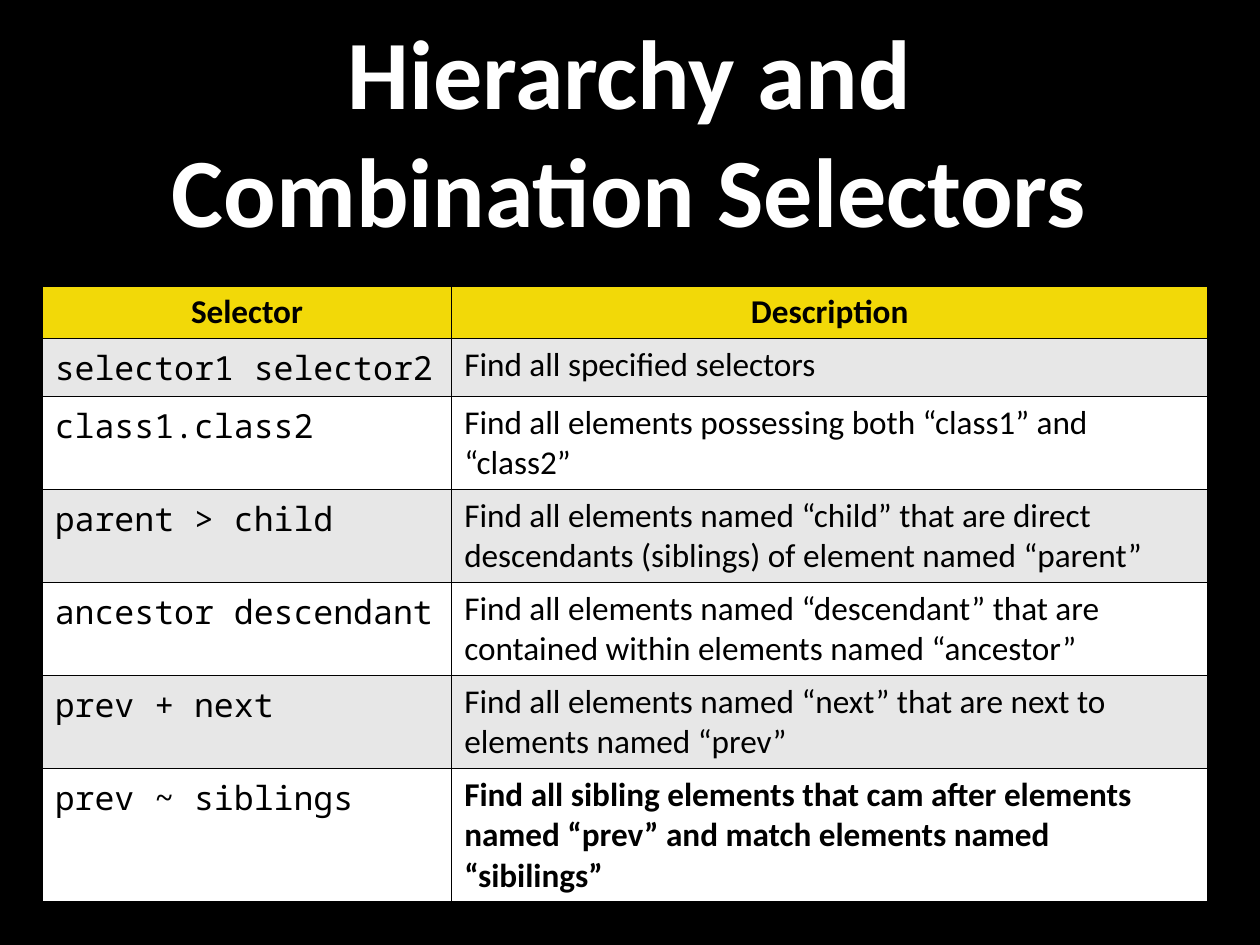
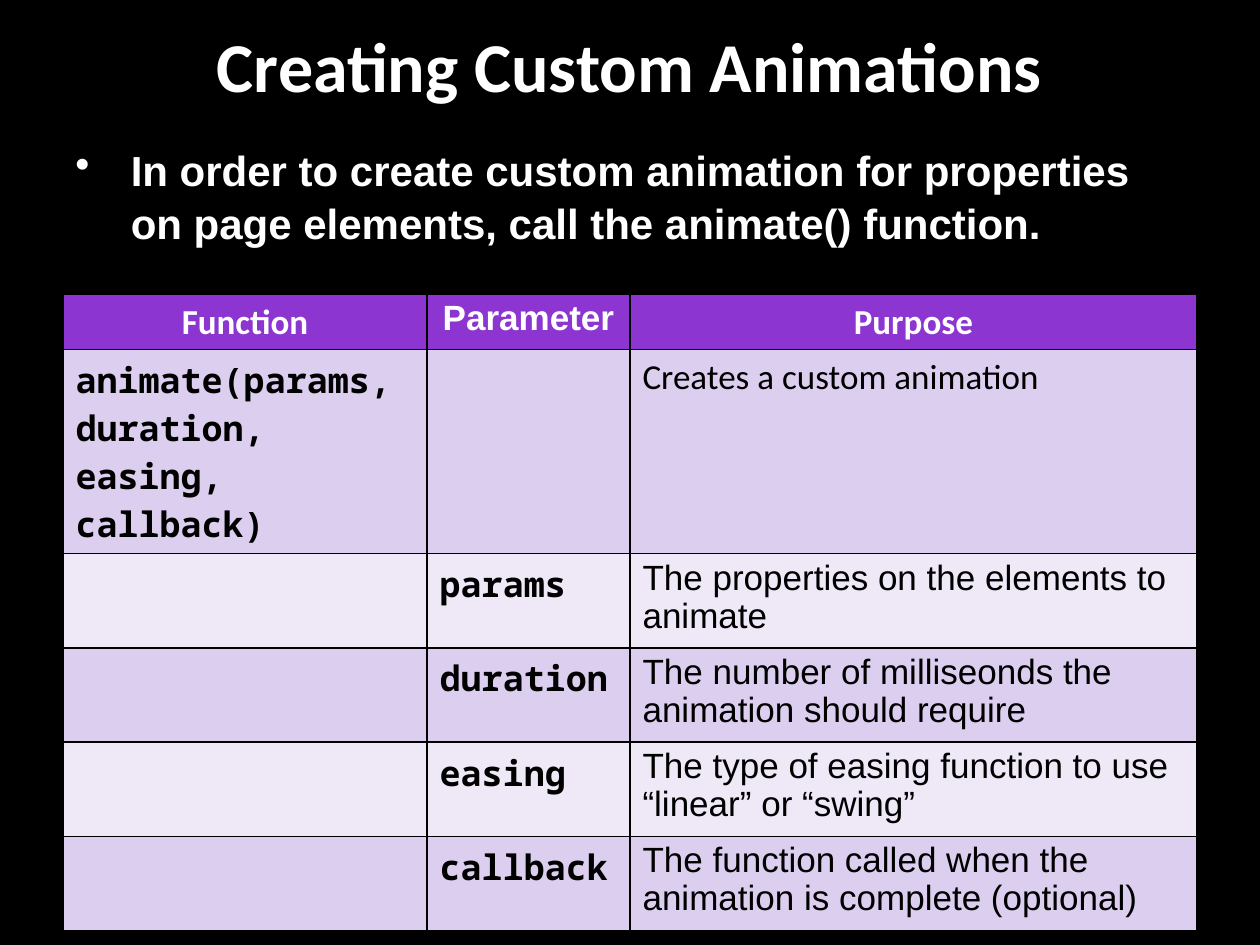
import pptx
import pptx.util
import pptx.dml.color
import pptx.enum.text
import pptx.oxml
import pptx.oxml.ns
from lxml import etree

RGBColor = pptx.dml.color.RGBColor
ALIGN = pptx.enum.text.PP_ALIGN
ANCHOR = pptx.enum.text.MSO_ANCHOR

BLACK = RGBColor(0x00, 0x00, 0x00)
WHITE = RGBColor(0xFF, 0xFF, 0xFF)
YELLOW = RGBColor(0xF2, 0xD9, 0x08)
GREY = RGBColor(0xE7, 0xE7, 0xE7)
PURPLE = RGBColor(0x8D, 0x35, 0xD1)
LILAC = RGBColor(0xDB, 0xCE, 0xEE)
PALE_LILAC = RGBColor(0xEE, 0xE8, 0xF7)

HEADING, BODY, MONO = "Calibri", "Arial", "Noto Sans Mono"
WIDTH, HEIGHT = pptx.util.Inches(10), pptx.util.Inches(7.5)

SELECTORS = [
    ("Selector", "Description"),
    ("selector1 selector2", "Find all specified selectors"),
    ("class1.class2", "Find all elements possessing both “class1” and “class2”"),
    ("parent > child", "Find all elements named “child” that are direct descendants "
                       "(siblings) of element named “parent”"),
    ("ancestor descendant", "Find all elements named “descendant” that are contained "
                            "within elements named “ancestor”"),
    ("prev + next", "Find all elements named “next” that are next to elements named “prev”"),
    ("prev ~ siblings", "Find all sibling elements that cam after elements named “prev” "
                        "and match elements named “sibilings”"),
]

ANIMATION = [
    ("Function", "Parameter", "Purpose"),
    ("animate(params, duration, easing, callback)", "", "Creates a custom animation"),
    ("", "params", "The properties on the elements to animate"),
    ("", "duration", "The number of milliseonds the animation should require"),
    ("", "easing", "The type of easing function to use “linear” or “swing”"),
    ("", "callback", "The function called when the animation is complete (optional)"),
]


def across(percent):
    """Length as a percentage of the slide width."""
    return round(WIDTH * percent / 100)


def down(percent):
    """Length as a percentage of the slide height."""
    return round(HEIGHT * percent / 100)


def style(para, font, size, color, bold=False):
    for span in para.runs:
        span.font.name = font
        span.font.size = pptx.util.Pt(size)
        span.font.color.rgb = color
        span.font.bold = bold


def add_page(deck):
    page = deck.slides.add_slide(deck.slide_layouts[6])
    page.background.fill.solid()
    page.background.fill.fore_color.rgb = BLACK
    return page


def add_text(page, text, left, top, width, height, font, size):
    box = page.shapes.add_textbox(across(left), down(top), across(width), down(height))
    box.text_frame.word_wrap = True
    box.text_frame.text = text
    para = box.text_frame.paragraphs[0]
    style(para, font, size, WHITE, bold=True)
    return box.text_frame, para


def add_title(page, text, top, height, size):
    frame, para = add_text(page, text, 8.5, top, 82.9, height, HEADING, size)
    frame.vertical_anchor = ANCHOR.MIDDLE
    para.alignment = ALIGN.CENTER


def add_bullet(page, text, left, top, width, height):
    para = add_text(page, text, left, top, width, height, BODY, 24)[1]
    para.line_spacing = 1.05
    indent = across(4.4)
    properties = para._p.get_or_add_pPr()
    properties.set("marL", str(indent))
    properties.set("indent", str(-indent))
    bullet = etree.SubElement(properties, pptx.oxml.ns.qn("a:buChar"))
    bullet.set("char", "•")


def outline_cell(cell):
    properties = cell._tc.get_or_add_tcPr()
    for place, side in enumerate("LRTB"):
        line = pptx.oxml.parse_xml(
            f'<a:ln{side} {pptx.oxml.ns.nsdecls("a")} w="{pptx.util.Pt(1)}">'
            f'<a:solidFill><a:srgbClr val="{BLACK}"/></a:solidFill></a:ln{side}>')
        properties.insert(place, line)


def format_cell(cell, font, size, color, bold):
    para = cell.text_frame.paragraphs[0]
    style(para, font, size, color, bold)
    if font == BODY:
        para.line_spacing = 0.97


def add_grid(page, rows, left, top, widths, heights, size, fills,
             header_color, header_fonts, column_fonts, bold_columns=()):
    """Table whose first fill is the header and whose other fills alternate."""
    frame = page.shapes.add_table(len(rows), len(widths), across(left), down(top),
                                  across(sum(widths)), down(sum(heights)))
    table = frame.table
    table.horz_banding = False
    table.first_row = False
    for column, width in zip(table.columns, widths):
        column.width = across(width)
    for r, (texts, height) in enumerate(zip(rows, heights)):
        table.rows[r].height = down(height)
        for c, text in enumerate(texts):
            cell = table.cell(r, c)
            cell.text = text
            cell.fill.solid()
            cell.fill.fore_color.rgb = fills[1 + (r - 1) % 2] if r else fills[0]
            outline_cell(cell)
            if r == 0:
                format_cell(cell, header_fonts[c], size, header_color, True)
                cell.text_frame.paragraphs[0].alignment = ALIGN.CENTER
            else:
                format_cell(cell, column_fonts[c], size, BLACK, c in bold_columns)
    return table


def build_selectors(deck):
    page = add_page(deck)
    add_title(page, "Hierarchy and Combination Selectors", 1.6, 24.13, 56)
    table = add_grid(page, SELECTORS, 3.35, 30.25, [32.5, 60],
                     [5.5, 6.13] + [9.85] * 4 + [14.1], 19, [YELLOW, GREY, WHITE],
                     BLACK, [HEADING, HEADING], [MONO, HEADING])
    # The last description is emphasised
    format_cell(table.cell(6, 1), HEADING, 19, BLACK, True)


def build_animation(deck):
    page = add_page(deck)
    add_title(page, "Creating Custom Animations", 0.4, 12.93, 40)
    add_bullet(page, "In order to create custom animation for properties on page "
                     "elements, call the animate() function.", 5, 14.4, 90, 15.6)
    table = add_grid(page, ANIMATION, 5, 31.15, [28.9, 16.1, 45],
                     [5.85, 21.6] + [9.6] * 4, 20, [PURPLE, LILAC, PALE_LILAC],
                     WHITE, [HEADING, BODY, HEADING], [MONO, MONO, BODY], (0, 1))
    # The summary of the function uses the heading font
    summary = table.cell(1, 2)
    format_cell(summary, HEADING, 20, BLACK, False)
    summary.text_frame.paragraphs[0].line_spacing = None


def main():
    deck = pptx.Presentation()
    deck.slide_width, deck.slide_height = WIDTH, HEIGHT
    build_selectors(deck)
    build_animation(deck)
    deck.save("out.pptx")


if __name__ == "__main__":
    main()
